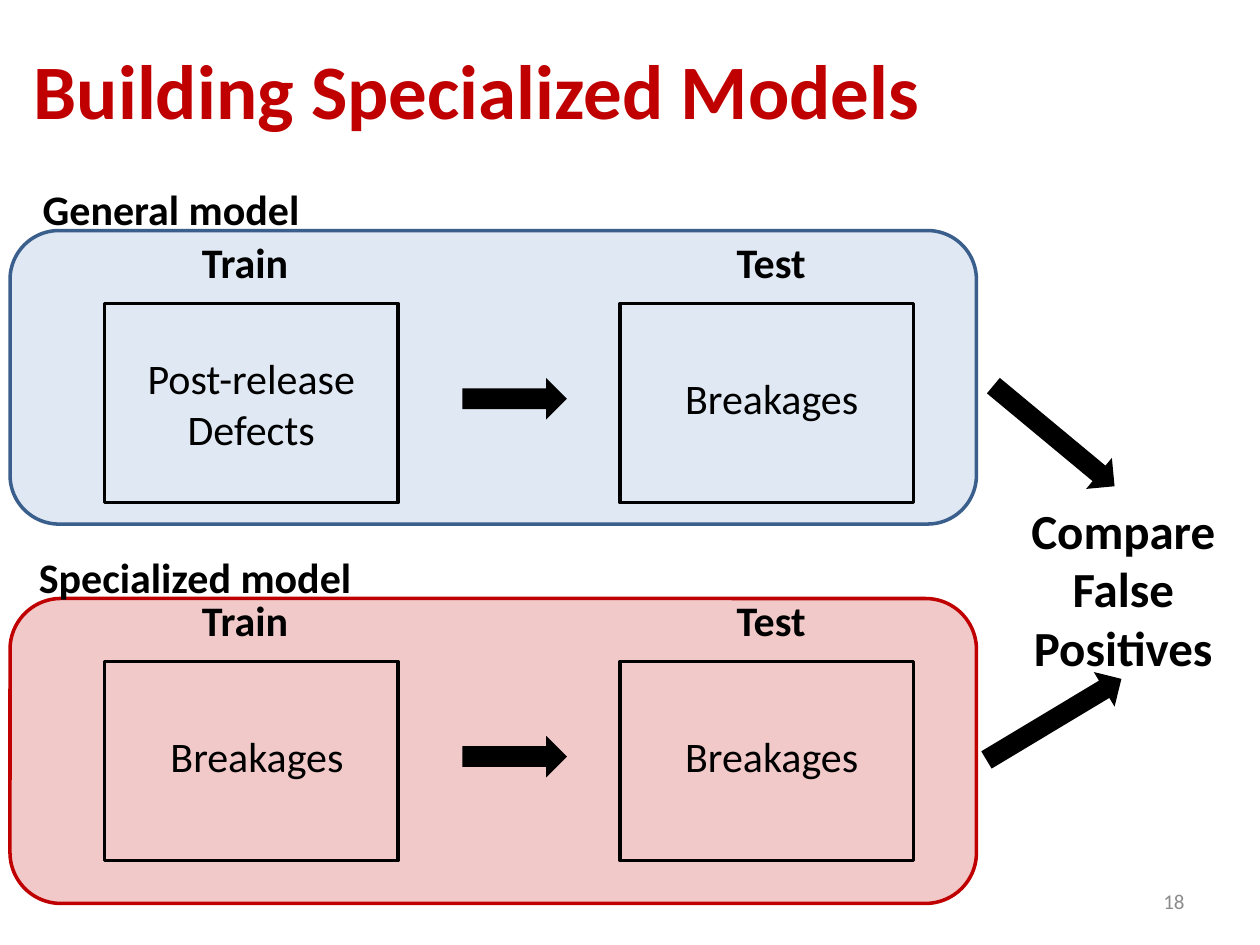
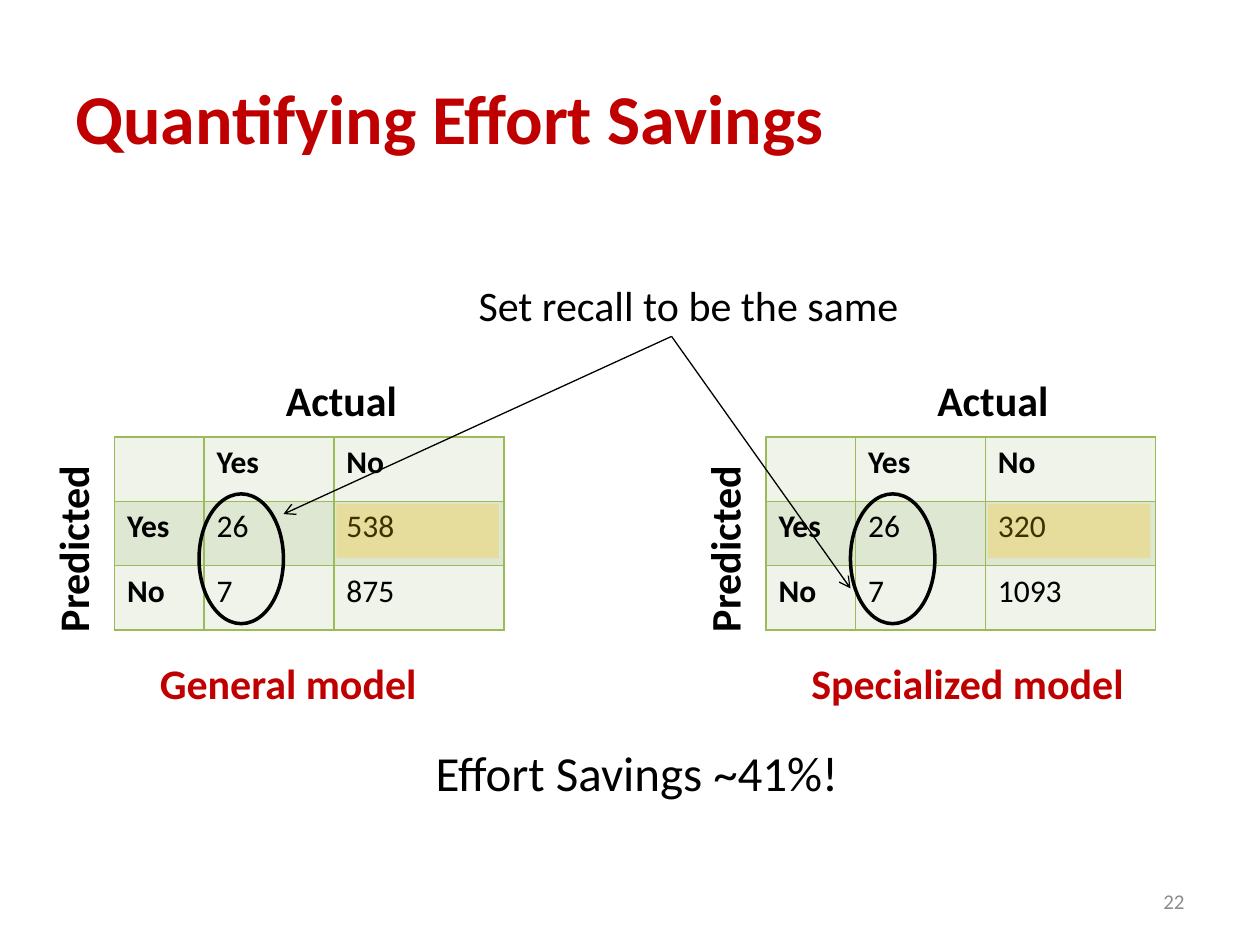
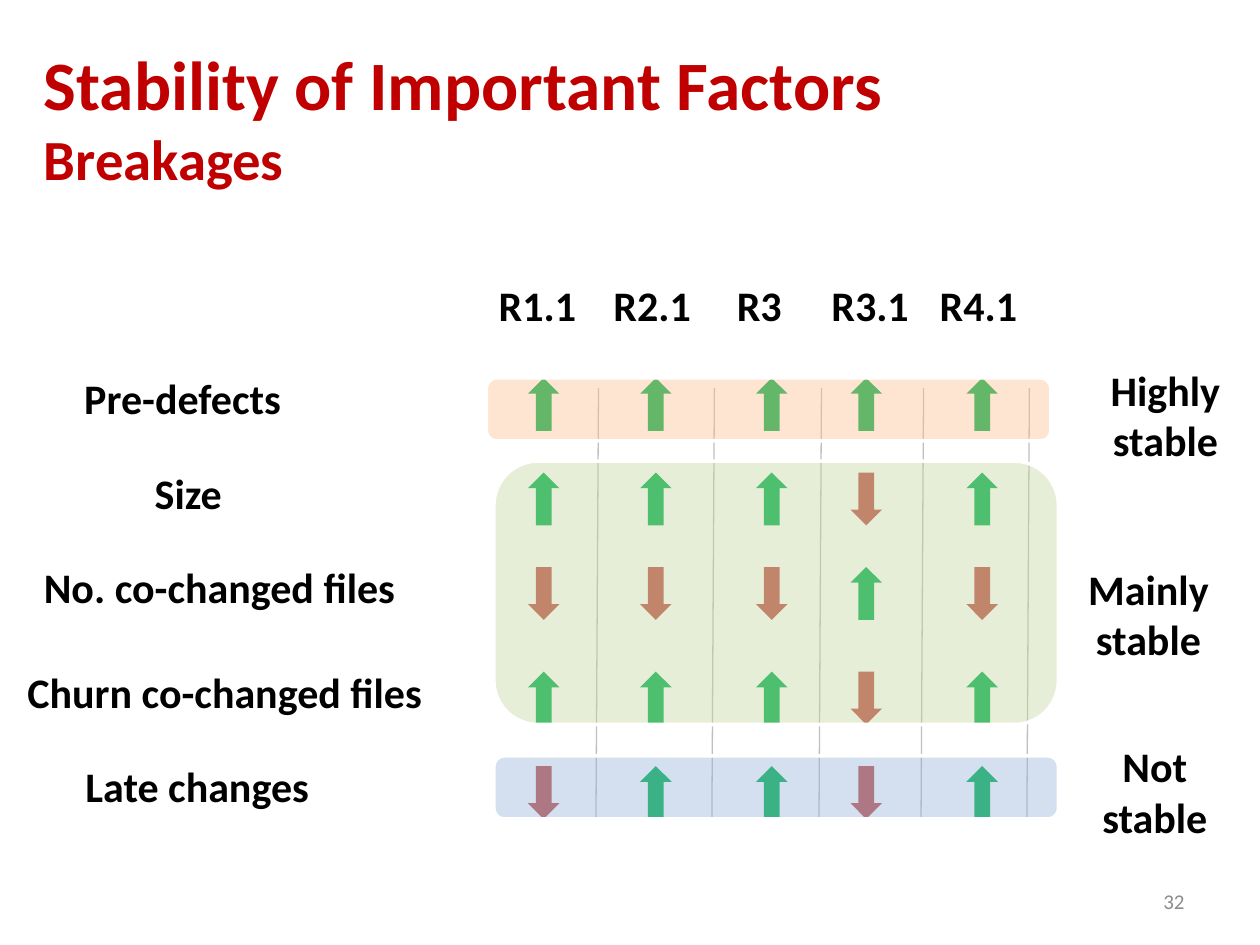
from dataclasses import dataclass

from lxml import etree
from pptx import Presentation
from pptx import util as u
from pptx.dml.color import RGBColor
from pptx.enum import shapes, text
from pptx.oxml import ns

SHAPE = shapes.MSO_SHAPE
LEFT, CENTER, RIGHT = text.PP_ALIGN.LEFT, text.PP_ALIGN.CENTER, text.PP_ALIGN.RIGHT


@dataclass(frozen=True)
class Theme:
    font: str = "Calibri"
    ink: str = "000000"
    accent: str = "C00000"
    muted: str = "8C8C8C"
    white: str = "FFFFFF"
    rule: str = "BFBFBF"
    general: str = "4F81BD"
    general_edge: str = "3A5F8C"
    grid: str = "9BBB59"
    row_light: str = "EFF3EA"
    row_dark: str = "DEE7D1"
    highlight: str = "FFC000"
    up: str = "00B050"
    down: str = "C0504D"
    body: float = 24
    large: float = 28
    cell: float = 18
    number: float = 12
    outline: float = 2
    hairline: float = 0.75


T = Theme()
SLIDE_W, SLIDE_H = 10, 7.5

# Slide 1: caption, caption left, panel top and height, fill, alpha, edge, training data
MODELS = [
    ("General model", 0.24, 1.83, 2.33, T.general, 18, T.general_edge,
     ["Post-release", "Defects"]),
    ("Specialized model", 0.21, 4.75, 2.42, T.accent, 21, T.accent, ["Breakages"]),
]
TEST_DATA = ["Breakages"]
MODEL_TOP, MODEL_STEP = 1.83, 2.84
COMPARE = "Compare False Positives"
COMPARE_ARROWS = [(3.3, 39.7), (5.55, 329)]

# Slide 2: caption, caption width, confusion matrix
MATRICES = [
    ("General model", 2.26, [["", "Yes", "No"], ["Yes", "26", "538"], ["No", "7", "875"]]),
    ("Specialized model", 2.71, [["", "Yes", "No"], ["Yes", "26", "320"], ["No", "7", "1093"]]),
]
MATRIX_LEFT, MATRIX_TOP, MATRIX_STEP = 0.91, 3.47, 5.17
MATRIX_COLS, MATRIX_ROW = [0.71, 1.03, 1.35], 0.51
RECALL_NOTE = "Set recall to be the same"
RECALL_START, RECALL_ENDS = (5.33, 2.67), [(2.25, 4.08), (6.75, 4.67)]
SAVINGS = "Effort Savings ~41%!"

# Slide 3: release, label left, label width, arrow left, divider
RELEASES = [
    ("R1.1", 3.86, 0.82, 4.19, 4.75),
    ("R2.1", 4.77, 0.82, 5.08, 5.67),
    ("R3", 5.75, 0.56, 6, 6.52),
    ("R3.1", 6.5, 0.82, 6.75, 7.33),
    ("R4.1", 7.36, 0.82, 7.67, 8.17),
]
# factor, label left, label width, top, direction in each release (+ up, - down)
FACTORS = [
    ("Pre-defects", 0.57, 1.78, 3, "+++++"),
    ("Size", 1.13, 0.74, 3.75, "+++-+"),
    ("No. co-changed files", 0.25, 3.04, 4.5, "---+-"),
    ("Churn co-changed files", 0.12, 3.54, 5.33, "+++-+"),
    ("Late changes", 0.58, 1.99, 6.08, "-++-+"),
]
# verdict, text left, top, width, band left, top, height, colour
VERDICTS = [
    (["Highly", "stable"], 8.71, 2.84, 1.08, 3.86, 3, 0.5, "FAC090"),
    (["Mainly", "stable"], 8.53, 4.42, 1.17, 3.92, 3.66, 2.09, "C3D69B"),
    (["Not", "stable"], 8.64, 5.83, 1.05, 3.92, 6, 0.5, "95B3D7"),
]


def rgb(value):
    return RGBColor.from_string(value)


def box(*lengths):
    return [u.Inches(length) for length in lengths]


def add_run(paragraph, words, size, color, bold):
    run = paragraph.add_run()
    run.text = words
    font = run.font
    font.name, font.size, font.bold = T.font, u.Pt(size), bold
    font.color.rgb = rgb(color)


def write(slide, lines, left, top, width, height=0.5, size=T.body, color=T.ink,
          bold=False, align=LEFT, wrap=False, middle=False, turn=0):
    """Add a text box with one paragraph for each line."""
    area = slide.shapes.add_textbox(*box(left, top, width, height))
    area.rotation = turn
    frame = area.text_frame
    frame.word_wrap = wrap
    if middle:
        frame.vertical_anchor = text.MSO_ANCHOR.MIDDLE
    for i, line in enumerate([lines] if isinstance(lines, str) else lines):
        paragraph = frame.paragraphs[0] if i == 0 else frame.add_paragraph()
        paragraph.alignment = align
        add_run(paragraph, line, size, color, bold)
    return frame


def draw(slide, kind, left, top, width, height, fill=None, alpha=100, edge=None, turn=0):
    shape = slide.shapes.add_shape(kind, *box(left, top, width, height))
    shape.shadow.inherit = False
    shape.rotation = turn
    if fill:
        shape.fill.solid()
        shape.fill.fore_color.rgb = rgb(fill)
        if alpha < 100:
            color = shape.fill._xPr.find(".//" + ns.qn("a:srgbClr"))
            etree.SubElement(color, ns.qn("a:alpha"), val=str(alpha * 1000))
    else:
        shape.fill.background()
    if edge:
        shape.line.color.rgb = rgb(edge)
        shape.line.width = u.Pt(T.outline)
    else:
        shape.line.fill.background()


def connect(slide, start, end, color, arrow=False):
    line = slide.shapes.add_connector(shapes.MSO_CONNECTOR.STRAIGHT, *box(*start, *end))
    line.line.color.rgb = rgb(color)
    line.line.width = u.Pt(T.hairline)
    properties = line._element.spPr
    if arrow:
        etree.SubElement(properties.find(ns.qn("a:ln")), ns.qn("a:tailEnd"), type="arrow")
    etree.SubElement(properties, ns.qn("a:effectLst"))


def start_slide(deck, number, title, left, top, width, size, subtitle=None, subtitle_size=0):
    slide = deck.slides.add_slide(deck.slide_layouts[6])
    heading = write(slide, title, left, top, width, 1.25, size, T.accent, True,
                    wrap=True, middle=True).paragraphs[0]
    if subtitle:
        heading.add_line_break()
        add_run(heading, subtitle, subtitle_size, T.accent, True)
    write(slide, str(number), 7.17, 6.95, 2.33, 0.4, T.number, T.muted,
          align=RIGHT, wrap=True, middle=True)
    return slide


def border(cell):
    properties = cell._tc.get_or_add_tcPr()
    for i, side in enumerate(("lnL", "lnR", "lnT", "lnB")):
        line = etree.Element(ns.qn("a:" + side), w=str(u.Pt(1)))
        fill = etree.SubElement(line, ns.qn("a:solidFill"))
        etree.SubElement(fill, ns.qn("a:srgbClr"), val=T.grid)
        properties.insert(i, line)


def add_matrix(slide, values, left):
    size = len(values)
    table = slide.shapes.add_table(
        size, size, *box(left, MATRIX_TOP, sum(MATRIX_COLS), size * MATRIX_ROW)).table
    table.first_row = table.horz_banding = False
    for column, width in zip(table.columns, MATRIX_COLS):
        column.width = u.Inches(width)
    for r, row in enumerate(values):
        table.rows[r].height = u.Inches(MATRIX_ROW)
        for c, value in enumerate(row):
            cell = table.cell(r, c)
            cell.fill.solid()
            cell.fill.fore_color.rgb = rgb(T.row_dark if r % 2 else T.row_light)
            border(cell)
            if value:
                add_run(cell.text_frame.paragraphs[0], value, T.cell, T.ink, r == 0 or c == 0)


def build_models(deck):
    slide = start_slide(deck, 18, "Building Specialized Models", 0.17, 0.08, 9.92, 44)
    for i, (caption, caption_left, panel_top, panel_height, fill, alpha, edge,
            train_data) in enumerate(MODELS):
        top = MODEL_TOP + i * MODEL_STEP
        draw(slide, SHAPE.ROUNDED_RECTANGLE, 0.08, panel_top, 7.67, panel_height,
             fill, alpha, edge)
        write(slide, caption, caption_left, panel_top - 0.42, 2.71, bold=True, wrap=True)
        stages = [("Train", 1.5, 0.89, 0.83, train_data, 0.83, 2.42),
                  ("Test", 5.74, 0.76, 4.92, TEST_DATA, 4.75, 2.75)]
        for stage, left, width, frame_left, data, data_left, data_width in stages:
            write(slide, stage, left, top, width, bold=True, align=CENTER)
            draw(slide, SHAPE.RECTANGLE, frame_left, top + 0.58, 2.33, 1.58, edge=T.ink)
            if len(data) > 1:
                write(slide, data, frame_left, top + 0.92, 2.33, 0.91, align=CENTER, wrap=True)
            else:
                write(slide, data, data_left, top + 1.08, data_width, align=CENTER, wrap=True)
        draw(slide, SHAPE.RIGHT_ARROW, 3.67, top + 1.17, 0.83, 0.33, T.ink)
    write(slide, COMPARE, 7.75, 3.92, 2.33, 1.51, T.large, bold=True, align=CENTER, wrap=True)
    for top, turn in COMPARE_ARROWS:
        draw(slide, SHAPE.RIGHT_ARROW, 7.74, top, 1.25, 0.32, T.ink, turn=turn)


def build_savings(deck):
    slide = start_slide(deck, 22, "Quantifying Effort Savings", 0.5, 0.3, 9, 40)
    for i, (caption, caption_width, values) in enumerate(MATRICES):
        left = MATRIX_LEFT + i * MATRIX_STEP
        add_matrix(slide, values, left)
        write(slide, "Predicted", left - 1.1, 4.1, 1.53, bold=True, turn=270)
        write(slide, "Actual", left + 1.26, 2.92, 1.09, bold=True)
        draw(slide, SHAPE.OVAL, left + 0.67, 3.92, 0.67, 1.03, edge=T.ink)
        draw(slide, SHAPE.RECTANGLE, left + 1.76, 4, 1.29, 0.43, T.highlight, 25)
        write(slide, caption, left + 0.26, 5.17, caption_width, color=T.accent, bold=True)
    for end in RECALL_ENDS:
        connect(slide, RECALL_START, end, T.ink, arrow=True)
    write(slide, RECALL_NOTE, 3.7, 2.17, 3.57)
    write(slide, SAVINGS, 3.36, 5.84, 3.44, 0.57, T.large)


def build_stability(deck):
    slide = start_slide(deck, 32, "Stability of Important Factors", 0.25, 0.3, 9, 39.6,
                        "Breakages", 32.4)
    for release, left, width, _, divider in RELEASES:
        write(slide, release, left, 2.17, width, bold=True)
        connect(slide, (divider, 3.08), (divider - 0.02, 6.49), T.rule)
    for factor, left, width, top, directions in FACTORS:
        write(slide, factor, left, top - 0.09, width, bold=True)
        for (_, _, _, arrow_left, _), direction in zip(RELEASES, directions):
            kind, color = ((SHAPE.UP_ARROW, T.up) if direction == "+"
                           else (SHAPE.DOWN_ARROW, T.down))
            draw(slide, kind, arrow_left, top, 0.25, 0.42, color)
    for verdict, left, top, width, band_left, band_top, band_height, color in VERDICTS:
        draw(slide, SHAPE.ROUNDED_RECTANGLE, band_left, band_top, 4.48, band_height,
             color, 40, T.white)
        write(slide, verdict, left, top, width, 0.91, bold=True, align=CENTER)


def main():
    deck = Presentation()
    deck.slide_width, deck.slide_height = box(SLIDE_W, SLIDE_H)
    build_models(deck)
    build_savings(deck)
    build_stability(deck)
    deck.save("out.pptx")


if __name__ == "__main__":
    main()
